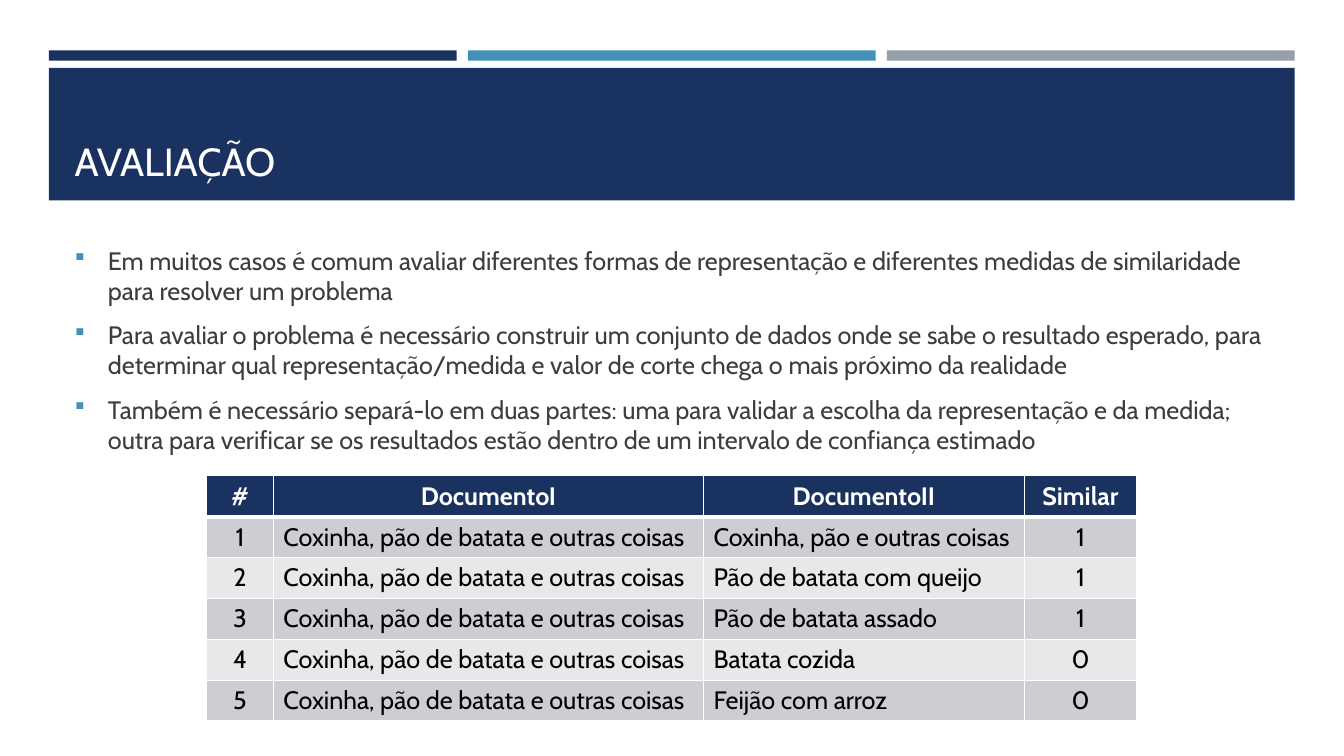
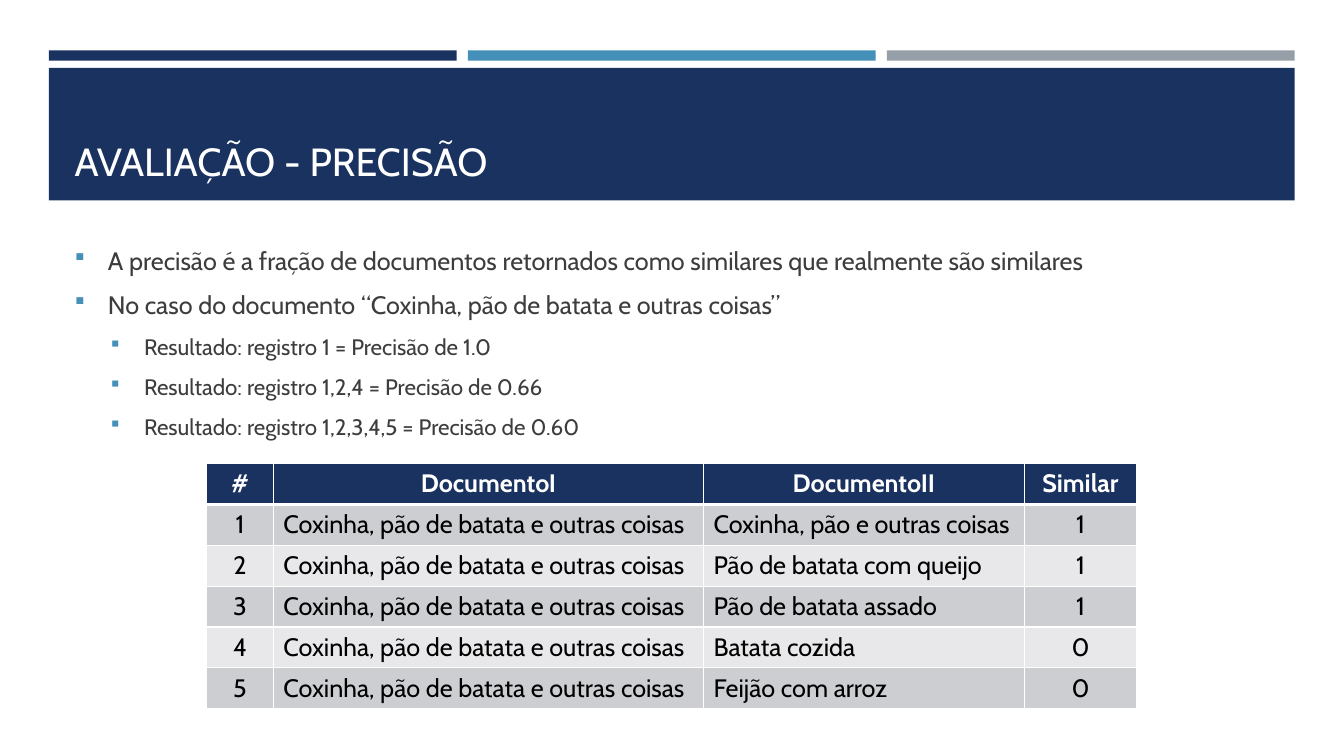
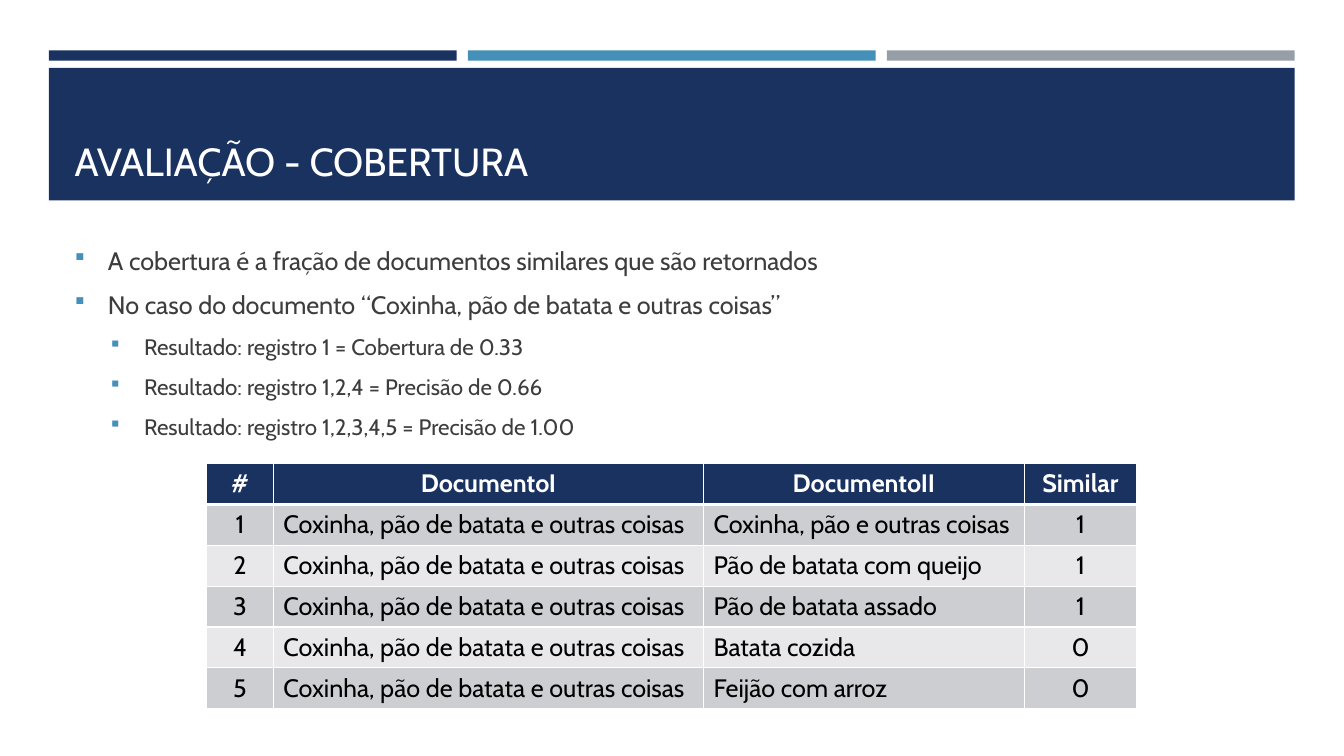
from collections import namedtuple

from lxml.etree import SubElement
from pptx import Presentation
from pptx.dml.color import RGBColor
from pptx.enum.shapes import MSO_SHAPE
from pptx.enum.text import MSO_ANCHOR, PP_ALIGN
from pptx.oxml.ns import qn
from pptx.util import Cm, Pt

Box = namedtuple("Box", "left top width height")

FONT = "Cabin"
COLORS = {
    "navy": "1A3260",
    "blue": "4590B8",
    "gray": "969FA7",
    "white": "FFFFFF",
    "text": "3D3D3D",
    "black": "000000",
    "odd_row": "CDCED2",
    "even_row": "E8E8EA",
}

HEADER = Box(1.23, 1.27, 31.4, 3.78)
BODY = Box(1.63, 6.05, 30.63, 10.21)
TABLE_LEFT, ROW_HEIGHT = 5.21, 1.03
COLUMN_WIDTHS = (1.68, 10.84, 8.08, 2.84)
CENTERED_COLUMNS = (0, 3)

# Per level: font size, space before, text indent
LEVELS = ((18, 4, 0.84), (16, 3.5, 1.75))
HANGING = 0.84

DOCUMENT = "Coxinha, pão de batata e outras coisas"
COMPARED = (
    ("Coxinha, pão e outras coisas", 1),
    ("Pão de batata com queijo", 1),
    ("Pão de batata assado", 1),
    ("Batata cozida", 0),
    ("Feijão com arroz", 0),
)
TABLE_ROWS = [("#", "DocumentoI", "DocumentoII", "Similar")] + [
    (str(number), DOCUMENT, other, str(similar))
    for number, (other, similar) in enumerate(COMPARED, 1)
]
CASE = (0, f"No caso do documento “{DOCUMENT}”")

# Title, top of the table, bullets as (level, text)
SLIDES = (
    ("AVALIAÇÃO", 11.99, (
        (0, "Em muitos casos é comum avaliar diferentes formas de representação e "
            "diferentes medidas de similaridade para resolver um problema"),
        (0, "Para avaliar o problema é necessário construir um conjunto de dados onde "
            "se sabe o resultado esperado, para determinar qual representação/medida e "
            "valor de corte chega o mais próximo da realidade"),
        (0, "Também é necessário separá-lo em duas partes: uma para validar a escolha "
            "da representação e da medida; outra para verificar se os resultados estão "
            "dentro de um intervalo de confiança estimado"),
    )),
    ("AVALIAÇÃO - PRECISÃO", 11.68, (
        (0, "A precisão é a fração de documentos retornados como similares que "
            "realmente são similares"),
        CASE,
        (1, "Resultado: registro 1 = Precisão de 1.0"),
        (1, "Resultado: registro 1,2,4 = Precisão de 0.66"),
        (1, "Resultado: registro 1,2,3,4,5 = Precisão de 0.60"),
    )),
    ("AVALIAÇÃO - COBERTURA", 11.68, (
        (0, "A cobertura é a fração de documentos similares que são retornados"),
        CASE,
        (1, "Resultado: registro 1 = Cobertura de 0.33"),
        (1, "Resultado: registro 1,2,4 = Precisão de 0.66"),
        (1, "Resultado: registro 1,2,3,4,5 = Precisão de 1.00"),
    )),
)


def rgb(name):
    return RGBColor.from_string(COLORS[name])


def in_cm(box):
    return [Cm(round(length, 2)) for length in box]


def format_runs(paragraph, size, color, bold=False):
    for run in paragraph.runs:
        run.font.name = FONT
        run.font.size = Pt(size)
        run.font.bold = bold
        run.font.color.rgb = rgb(color)


def add_rectangle(slide, box, color):
    shape = slide.shapes.add_shape(MSO_SHAPE.RECTANGLE, *in_cm(box))
    shape.shadow.inherit = False
    shape.fill.solid()
    shape.fill.fore_color.rgb = rgb(color)
    shape.line.fill.background()


def add_text_frame(slide, box):
    text_frame = slide.shapes.add_textbox(*in_cm(box)).text_frame
    text_frame.word_wrap = True
    return text_frame


def add_header(slide, box, title):
    """Three thin bars above a band that holds the title."""
    bar_height, gap, band_offset, inset = 0.26, 0.28, 0.44, 0.4
    bar_width = (box.width - 2 * gap) / 3
    for index, color in enumerate(("navy", "blue", "gray")):
        left = box.left + index * (bar_width + gap)
        add_rectangle(slide, Box(left, box.top, bar_width, bar_height), color)
    band = Box(box.left, box.top + band_offset, box.width, box.height - band_offset)
    add_rectangle(slide, band, "navy")

    text_frame = add_text_frame(slide, Box(
        band.left + inset, band.top + 0.25, band.width - 2 * inset, band.height - 0.52))
    text_frame.vertical_anchor = MSO_ANCHOR.BOTTOM
    text_frame.text = title
    format_runs(text_frame.paragraphs[0], 28, "white")


def set_bullet(paragraph, indent):
    properties = paragraph._p.get_or_add_pPr()
    properties.set("marL", str(Cm(indent)))
    properties.set("indent", str(-Cm(HANGING)))
    color = SubElement(properties, qn("a:buClr"))
    SubElement(color, qn("a:srgbClr"), val=COLORS["blue"])
    SubElement(properties, qn("a:buSzPct"), val="92000")
    SubElement(properties, qn("a:buFont"), typeface="Wingdings", charset="2")
    SubElement(properties, qn("a:buChar"), char="§")


def add_bullets(slide, box, bullets):
    text_frame = add_text_frame(slide, box)
    for index, (level, text) in enumerate(bullets):
        paragraph = text_frame.add_paragraph() if index else text_frame.paragraphs[0]
        size, space_before, indent = LEVELS[level]
        paragraph.text = text
        paragraph.level = level
        set_bullet(paragraph, indent)
        paragraph.space_before = Pt(space_before if index else 0)
        paragraph.space_after = Pt(6)
        format_runs(paragraph, size, "text")


def set_borders(cell, top, bottom):
    """White borders; top and bottom are widths in points."""
    properties = cell._tc.get_or_add_tcPr()
    widths = (("a:lnL", 1), ("a:lnR", 1), ("a:lnT", top), ("a:lnB", bottom))
    for index, (tag, width) in enumerate(widths):
        line = properties.makeelement(qn(tag), {"w": str(Pt(width))})
        fill = SubElement(line, qn("a:solidFill"))
        SubElement(fill, qn("a:srgbClr"), val=COLORS["white"])
        properties.insert(index, line)


def add_document_table(slide, left, top):
    box = Box(left, top, sum(COLUMN_WIDTHS), ROW_HEIGHT * len(TABLE_ROWS))
    table = slide.shapes.add_table(
        len(TABLE_ROWS), len(COLUMN_WIDTHS), *in_cm(box)).table
    table.horz_banding = False
    for column, width in zip(table.columns, COLUMN_WIDTHS):
        column.width = Cm(width)
    for row_index, texts in enumerate(TABLE_ROWS):
        table.rows[row_index].height = Cm(ROW_HEIGHT)
        is_heading = row_index == 0
        row_color = "navy" if is_heading else ("even_row", "odd_row")[row_index % 2]
        for column_index, text in enumerate(texts):
            cell = table.cell(row_index, column_index)
            cell.text_frame.text = text
            cell.fill.solid()
            cell.fill.fore_color.rgb = rgb(row_color)
            set_borders(cell, 3 if row_index == 1 else 1, 3 if is_heading else 1)
            paragraph = cell.text_frame.paragraphs[0]
            if is_heading or column_index in CENTERED_COLUMNS:
                paragraph.alignment = PP_ALIGN.CENTER
            format_runs(paragraph, 18, "white" if is_heading else "black", is_heading)


def main():
    presentation = Presentation()
    presentation.slide_width = Cm(33.87)
    presentation.slide_height = Cm(19.05)
    for title, table_top, bullets in SLIDES:
        slide = presentation.slides.add_slide(presentation.slide_layouts[6])
        add_header(slide, HEADER, title)
        add_bullets(slide, BODY, bullets)
        add_document_table(slide, TABLE_LEFT, table_top)
    presentation.save("out.pptx")


if __name__ == "__main__":
    main()
